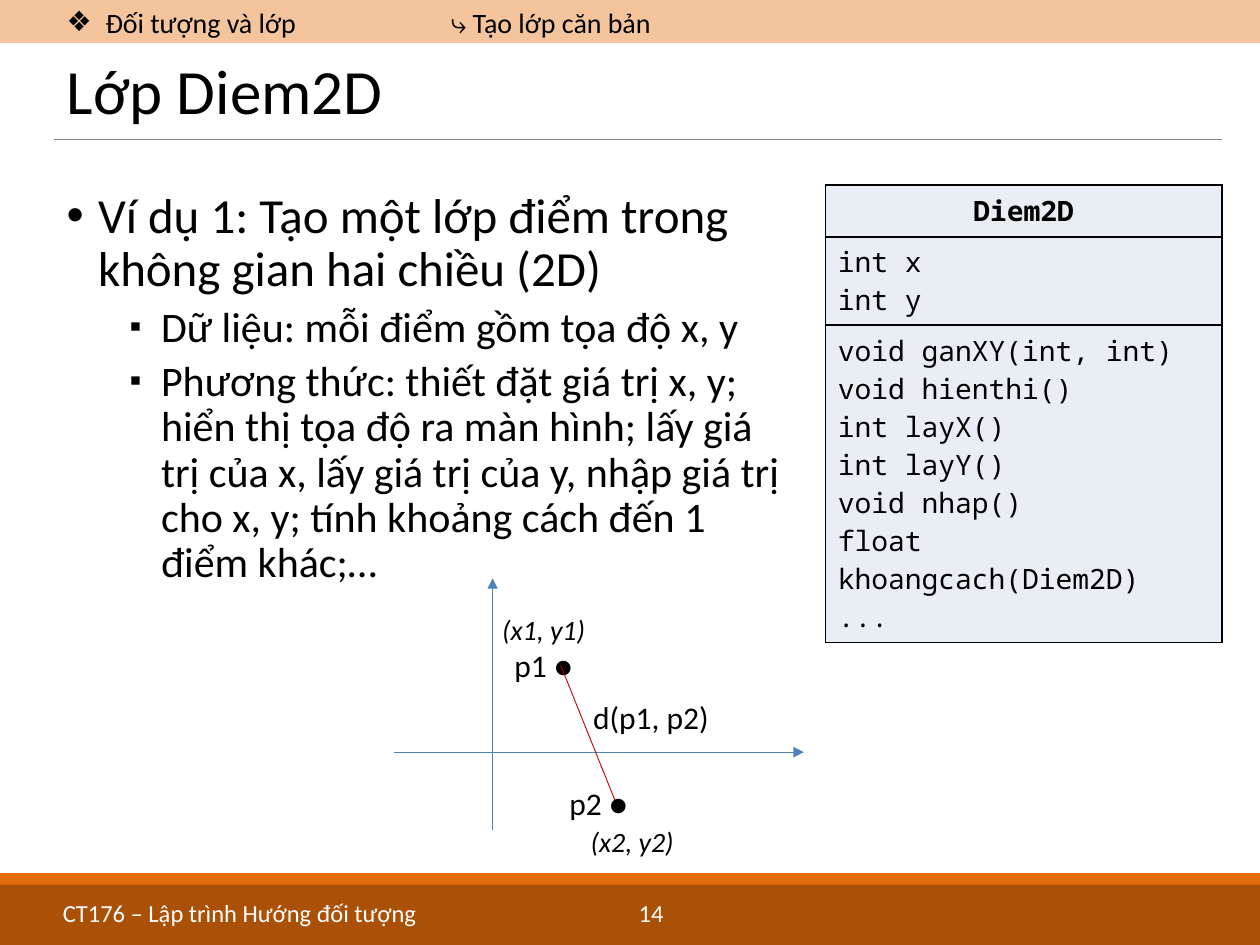
from lxml.etree import SubElement
from pptx import Presentation
from pptx.dml.color import RGBColor
from pptx.enum.shapes import MSO_CONNECTOR as Connector, MSO_SHAPE as Shape
from pptx.enum.text import MSO_ANCHOR as Anchor, PP_ALIGN as Align
from pptx.oxml import parse_xml
from pptx.oxml.ns import nsdecls, qn
from pptx.util import Inches, Pt

WIDTH, HEIGHT = 10, 7.5
LEFT, CONTENT_WIDTH, CONTENT_TOP = 0.43, 9.27, 1.47
RIGHT = LEFT + CONTENT_WIDTH
BLACK = RGBColor(0, 0, 0)
WHITE = RGBColor(255, 255, 255)
ORANGE = RGBColor(0xE4, 0x6C, 0x0A)
BROWN = RGBColor(0x98, 0x48, 0x07)
GREY = RGBColor(0x80, 0x80, 0x80)
BLUE = RGBColor(0x4F, 0x81, 0xBD)
RED = RGBColor(0xC0, 0, 0)
PALE = RGBColor(0xE9, 0xED, 0xF4)
SANS, MONO = "Calibri", "Noto Sans Mono"
CLASS_ROWS = [
    (0.41, ["Diem2D"]),
    (0.7, ["int x", "int y"]),
    (2.52, ["void ganXY(int, int)", "void hienthi()", "int layX()", "int layY()",
            "void nhap()", "float khoangcach(Diem2D)", "..."]),
]


def set_all(target, values):
    for name, value in values.items():
        setattr(target, name, value)


def write(paragraph, text, size, color=BLACK, layout=None, **font):
    set_all(paragraph, layout or {})
    run = paragraph.add_run()
    run.text = text
    set_all(run.font, {"name": SANS, "size": Pt(size), **font})
    run.font.color.rgb = color


def add_bullet(paragraph, char, margin, hang, percent=100, tab=None):
    properties = paragraph._p.get_or_add_pPr()
    properties.set("marL", str(Inches(margin)))
    properties.set("indent", str(-Inches(hang)))
    SubElement(properties, qn("a:buSzPct")).set("val", str(percent * 1000))
    SubElement(properties, qn("a:buFont")).set("typeface", "Arial")
    SubElement(properties, qn("a:buChar")).set("char", char)
    if tab:
        add_tab(paragraph, tab)


def add_tab(paragraph, position):
    tabs = SubElement(paragraph._p.get_or_add_pPr(), qn("a:tabLst"))
    tab = SubElement(tabs, qn("a:tab"))
    tab.set("pos", str(Inches(position)))
    tab.set("algn", "l")


def add_text(slide, left, top, width, height, anchor=Anchor.TOP):
    box = slide.shapes.add_textbox(*map(Inches, (left, top, width, height)))
    set_all(box.text_frame, {"word_wrap": True, "vertical_anchor": anchor})
    return box.text_frame


def add_band(slide, top, height, color, opacity=100):
    band = slide.shapes.add_shape(
        Shape.RECTANGLE, 0, Inches(top), Inches(WIDTH), Inches(height))
    band.shadow.inherit = False
    band.line.fill.background()
    band.fill.solid()
    band.fill.fore_color.rgb = color
    if opacity < 100:
        fill_color = band._element.spPr.find(".//" + qn("a:srgbClr"))
        SubElement(fill_color, qn("a:alpha")).set("val", str(opacity * 1000))


def add_line(slide, start, end, color, arrow=False):
    line = slide.shapes.add_connector(
        Connector.STRAIGHT, *map(Inches, (*start, *end)))
    line.line.color.rgb = color
    line.line.width = Pt(0.5)
    if arrow:
        SubElement(line.line._get_or_add_ln(), qn("a:tailEnd")).set("type", "triangle")
    SubElement(line._element.spPr, qn("a:effectLst"))


def add_frame(slide):
    add_band(slide, 0, 0.34, ORANGE, 40)
    add_band(slide, 6.93, 0.57, ORANGE)
    add_band(slide, 7.02, 0.48, BROWN, 75)
    add_line(slide, (LEFT, 1.11), (RIGHT, 1.11), GREY)
    footer = add_text(slide, 0.4, 7.1, 9.3, 0.28, Anchor.MIDDLE).paragraphs[0]
    add_tab(footer, 4.57)
    write(footer, "CT176 – Lập trình Hướng đối tượng\t14", 14, WHITE)
    header = add_text(slide, LEFT, 0.02, CONTENT_WIDTH, 0.31, Anchor.MIDDLE).paragraphs[0]
    add_bullet(header, "❖", 0.31, 0.31, tab=3.05)
    write(header, "Đối tượng và lớp\t⤷ Tạo lớp căn bản", 16)


def add_title(slide, text):
    title = slide.shapes.title
    set_all(title, {"left": Inches(LEFT), "top": Inches(0.4),
                    "width": Inches(CONTENT_WIDTH), "height": Inches(0.7)})
    title.text_frame.vertical_anchor = Anchor.MIDDLE
    write(title.text_frame.paragraphs[0], text, 36,
          layout={"alignment": Align.LEFT, "line_spacing": 0.9})


def add_body(slide):
    frame = add_text(slide, LEFT, CONTENT_TOP, 5.97, 5.35)
    first = frame.paragraphs[0]
    add_bullet(first, "•", 0.25, 0.25)
    write(first, "Ví dụ 1: Tạo một lớp điểm trong không gian hai chiều (2D)", 28,
          layout={"line_spacing": 0.9})
    for text in (
        "Dữ liệu: mỗi điểm gồm tọa độ x, y",
        "Phương thức: thiết đặt giá trị x, y; hiển thị tọa độ ra màn hình; "
        "lấy giá trị của x, lấy giá trị của y, nhập giá trị cho x, y; "
        "tính khoảng cách đến 1 điểm khác;…",
    ):
        paragraph = frame.add_paragraph()
        add_bullet(paragraph, "▪", 0.75, 0.25, 80)
        write(paragraph, text, 24,
              layout={"level": 1, "line_spacing": 0.9, "space_before": Pt(5)})


def format_cell(cell):
    cell.fill.solid()
    cell.fill.fore_color.rgb = PALE
    properties = cell._tc.get_or_add_tcPr()
    for index, side in enumerate("LRTB"):
        properties.insert(index, parse_xml(
            f'<a:ln{side} {nsdecls("a")} w="{Pt(1)}"><a:solidFill>'
            f'<a:srgbClr val="{BLACK}"/></a:solidFill></a:ln{side}>'))


def add_class_table(slide):
    width = 3.15
    total_height = sum(height for height, _ in CLASS_ROWS)
    table = slide.shapes.add_table(len(CLASS_ROWS), 1, *map(Inches, (
        RIGHT - width, CONTENT_TOP, width, total_height))).table
    for index, (height, lines) in enumerate(CLASS_ROWS):
        table.rows[index].height = Inches(height)
        cell = table.cell(index, 0)
        format_cell(cell)
        heading = index == 0
        frame = cell.text_frame
        for number, text in enumerate(lines):
            paragraph = frame.add_paragraph() if number else frame.paragraphs[0]
            write(paragraph, text, 16, name=MONO, bold=heading,
                  layout={"alignment": Align.CENTER if heading else Align.LEFT})


def add_diagram(slide):
    add_line(slide, (3.13, 5.97), (6.38, 5.97), BLUE, arrow=True)
    add_line(slide, (3.91, 6.59), (3.91, 4.59), BLUE, arrow=True)
    centered = {"alignment": Align.CENTER}
    first = add_text(slide, 3.71, 4.81, 1.21, 0.67)
    write(first.paragraphs[0], "(x1, y1)", 16, layout=centered, italic=True)
    write(first.add_paragraph(), "p1 ●", 18, layout=centered)
    second = add_text(slide, 4.42, 6.17, 1.8, 0.71)
    write(second.paragraphs[0], "p2 ●", 18)
    coordinates = second.add_paragraph()
    coordinates._p.get_or_add_pPr().set("marL", str(Inches(0.17)))
    write(coordinates, "(x2, y2)", 16, layout={"space_before": Pt(2)}, italic=True)
    add_line(slide, (4.45, 5.28), (4.88, 6.35), RED)
    write(add_text(slide, 4.61, 5.49, 1.4, 0.4).paragraphs[0], "d(p1, p2)", 18)


def main():
    presentation = Presentation()
    set_all(presentation, {"slide_width": Inches(WIDTH), "slide_height": Inches(HEIGHT)})
    slide = presentation.slides.add_slide(presentation.slide_layouts[5])
    add_frame(slide)
    add_title(slide, "Lớp Diem2D")
    add_body(slide)
    add_class_table(slide)
    add_diagram(slide)
    presentation.save("out.pptx")


if __name__ == "__main__":
    main()
